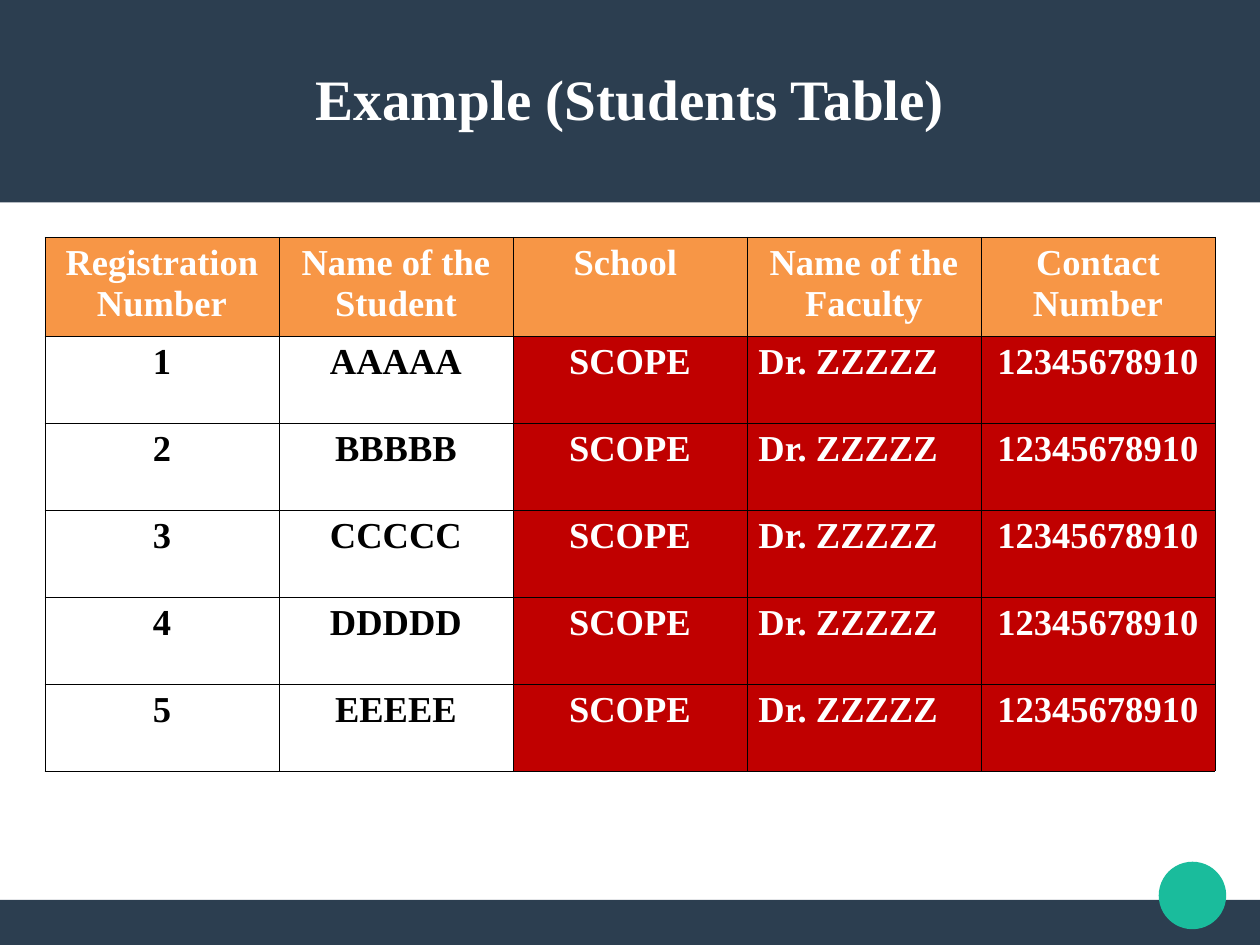
"""Build the students table slide."""
from lxml import etree
from pptx import Presentation
from pptx.dml.color import RGBColor
from pptx.enum.shapes import MSO_SHAPE
from pptx.enum.text import MSO_ANCHOR, PP_ALIGN
from pptx.oxml.ns import qn
from pptx.util import Cm, Pt

TITLE = "Example (Students Table)"
HEADINGS = ["Registration Number", "Name of the Student", "School ",
            "Name of the Faculty", "Contact Number"]
STUDENTS = ["AAAAA", "BBBBB", "CCCCC", "DDDDD", "EEEEE"]
SHARED_DETAILS = ["SCOPE", "Dr. ZZZZZ", "12345678910"]
RECORDS = [HEADINGS] + [[str(number), student] + SHARED_DETAILS
                        for number, student in enumerate(STUDENTS, 1)]

NAVY = RGBColor(0x2C, 0x3E, 0x50)
TEAL = RGBColor(0x1A, 0xBC, 0x9C)
ORANGE = RGBColor(0xF7, 0x96, 0x46)
RED = RGBColor(0xC0, 0x00, 0x00)
WHITE = RGBColor(0xFF, 0xFF, 0xFF)
BLACK = RGBColor(0x00, 0x00, 0x00)

RECTANGLE, OVAL = MSO_SHAPE.RECTANGLE, MSO_SHAPE.OVAL
CENTER, LEFT = PP_ALIGN.CENTER, PP_ALIGN.LEFT
MIDDLE = MSO_ANCHOR.MIDDLE
FONT = "Times New Roman"

WIDTH, HEIGHT = 28, 21
MARGIN = 1
CONTENT_WIDTH = WIDTH - 2 * MARGIN
HEADER_HEIGHT, FOOTER_HEIGHT = 4.5, 1
DOT_LEFT, DOT_TOP, DOT_SIZE = 25.75, 19.15, 1.5
TITLE_TOP, TITLE_HEIGHT = 0.84, 2.67
TABLE_TOP = 5.27
HEADING_ROW, STUDENT_ROW = 2.21, 1.93
FACULTY_COLUMN = 3
BORDER_WIDTH = Pt(0.45)


def add_decoration(slide, preset, color, *box):
    decoration = slide.shapes.add_shape(preset, *map(Cm, box))
    decoration.shadow.inherit = False
    decoration.fill.solid()
    decoration.fill.fore_color.rgb = color
    decoration.line.fill.background()


def write(frame, words, size, color, alignment):
    frame.word_wrap = True
    paragraph = frame.paragraphs[0]
    paragraph.alignment = alignment
    run = paragraph.add_run()
    run.text = words
    run.font.name = FONT
    run.font.size = Pt(size)
    run.font.bold = True
    run.font.color.rgb = color


def add_borders(cell):
    properties = cell._tc.get_or_add_tcPr()
    for side in ("a:lnL", "a:lnR", "a:lnT", "a:lnB"):
        border = etree.SubElement(properties, qn(side), w=str(BORDER_WIDTH))
        fill = etree.SubElement(border, qn("a:solidFill"))
        etree.SubElement(fill, qn("a:srgbClr"), val=str(BLACK))


def cell_colors(row, column):
    if row == 0:
        return ORANGE, WHITE
    return (None, BLACK) if column < 2 else (RED, WHITE)


def add_title(slide):
    title = slide.shapes.add_textbox(
        Cm(MARGIN), Cm(TITLE_TOP), Cm(CONTENT_WIDTH), Cm(TITLE_HEIGHT))
    frame = title.text_frame
    frame.margin_left = frame.margin_right = 0
    frame.margin_top = frame.margin_bottom = 0
    frame.vertical_anchor = MIDDLE
    write(frame, TITLE, 36, WHITE, CENTER)


def add_students(slide):
    row_heights = [HEADING_ROW] + [STUDENT_ROW] * len(STUDENTS)
    students = slide.shapes.add_table(
        len(RECORDS), len(HEADINGS), Cm(MARGIN), Cm(TABLE_TOP),
        Cm(CONTENT_WIDTH), Cm(sum(row_heights))).table
    students.first_row = students.horz_banding = False
    for row, (record, height) in enumerate(zip(RECORDS, row_heights)):
        students.rows[row].height = Cm(height)
        for column, words in enumerate(record):
            cell = students.cell(row, column)
            background, ink = cell_colors(row, column)
            add_borders(cell)
            if background is None:
                cell.fill.background()
            else:
                cell.fill.solid()
                cell.fill.fore_color.rgb = background
            is_faculty = row > 0 and column == FACULTY_COLUMN
            write(cell.text_frame, words, 23, ink, LEFT if is_faculty else CENTER)


def main():
    deck = Presentation()
    deck.slide_width, deck.slide_height = Cm(WIDTH), Cm(HEIGHT)
    slide = deck.slides.add_slide(deck.slide_layouts[6])
    add_decoration(slide, RECTANGLE, NAVY,
                   0, HEIGHT - FOOTER_HEIGHT, WIDTH, FOOTER_HEIGHT)
    add_decoration(slide, RECTANGLE, NAVY, 0, 0, WIDTH, HEADER_HEIGHT)
    add_decoration(slide, OVAL, TEAL, DOT_LEFT, DOT_TOP, DOT_SIZE, DOT_SIZE)
    add_title(slide)
    add_students(slide)
    deck.save("out.pptx")


if __name__ == "__main__":
    main()
